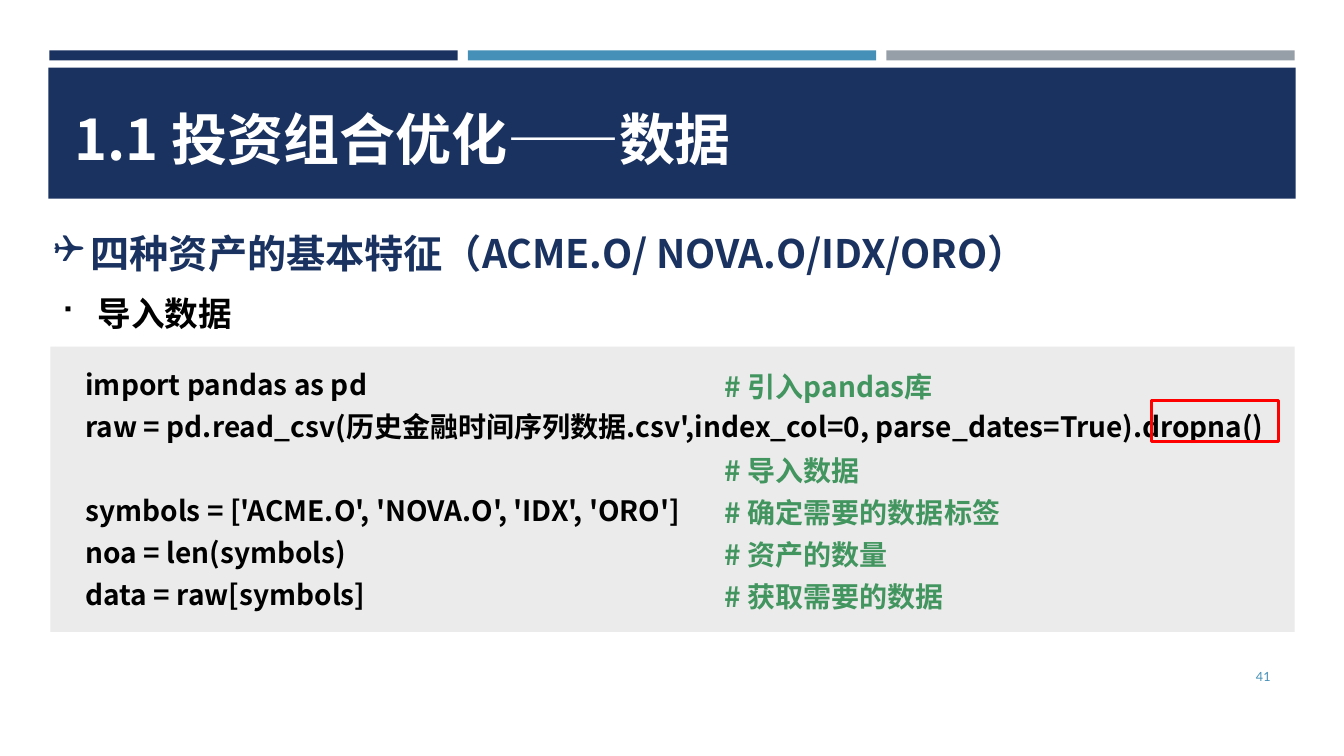
from pptx import Presentation
from pptx.dml.color import RGBColor
from pptx.enum.shapes import MSO_SHAPE
from pptx.enum.text import MSO_ANCHOR, MSO_AUTO_SIZE, PP_ALIGN
from pptx.oxml.ns import qn
from pptx.util import Inches, Pt
from lxml import etree

NAVY = RGBColor(0x1A, 0x32, 0x60)
BLUE = RGBColor(0x45, 0x90, 0xB8)
GRAY = RGBColor(0x96, 0x9F, 0xA7)
PANEL = RGBColor(0xEB, 0xEB, 0xEB)
GREEN = RGBColor(0x42, 0x95, 0x5F)
RED = RGBColor(0xFF, 0x00, 0x00)
BLACK = RGBColor(0x00, 0x00, 0x00)
WHITE = RGBColor(0xFF, 0xFF, 0xFF)
CJK_FONT = "Noto Sans CJK SC"


def add_rect(x, y, w, h, fill=None):
    sp = s.shapes.add_shape(MSO_SHAPE.RECTANGLE, Inches(x), Inches(y), Inches(w), Inches(h))
    sp.shadow.inherit = False
    if fill is None:
        sp.fill.background()
    else:
        sp.fill.solid()
        sp.fill.fore_color.rgb = fill
        sp.line.fill.background()
    return sp


def add_text(x, y, w, h, lines, size, color, bold=True, font=CJK_FONT):
    """Add a text box with one paragraph per line and return its text frame."""
    tf = s.shapes.add_textbox(Inches(x), Inches(y), Inches(w), Inches(h)).text_frame
    tf.word_wrap = True
    tf.auto_size = MSO_AUTO_SIZE.SHAPE_TO_FIT_TEXT if bold else MSO_AUTO_SIZE.NONE
    tf.text = "\n".join(lines)
    for p in tf.paragraphs:
        for r in p.runs:
            r.font.size = Pt(size)
            r.font.bold = bold
            r.font.color.rgb = color
            r.font.name = font
            etree.SubElement(r.font._element, qn("a:ea"), typeface=font)
    return tf


prs = Presentation()
prs.slide_width, prs.slide_height = Inches(13.33), Inches(7.5)
s = prs.slides.add_slide(prs.slide_layouts[6])

# Header
for i, color in enumerate((NAVY, BLUE, GRAY)):
    add_rect(0.49 + 4.15 * i, 0.5, 4.05, 0.1, color)
add_rect(0.48, 0.67, 12.37, 1.3, NAVY)
add_text(0.64, 0.99, 11.92, 0.77, ["1.1 投资组合优化——数据"], 40, WHITE)

# Headings with bullets
headings = [
    (0.43, 1.99, 13.01, 0.72, "❑", "四种资产的基本特征（ACME.O/ NOVA.O/IDX/ORO）", 28, NAVY),
    (0.5, 2.66, 12.84, 0.64, "■", "导入数据", 24, BLACK),
]
for x, y, w, h, bullet, text, size, color in headings:
    p = add_text(x, y, w, h, [text], size, color).paragraphs[0]
    p.line_spacing = 1.5
    p.space_after = Pt(12)
    pPr = p._p.get_or_add_pPr()
    pPr.set("marL", str(Inches(0.37)))
    pPr.set("indent", str(-Inches(0.37)))
    etree.SubElement(pPr, qn("a:buFont"), typeface="Wingdings")
    etree.SubElement(pPr, qn("a:buChar"), char=bullet)

# Code panel: the gap index is the line that follows a skipped row
add_rect(0.5, 3.44, 12.34, 2.83, PANEL)
code = [
    "import pandas as pd",
    "raw = pd.read_csv(历史金融时间序列数据.csv',index_col=0, parse_dates=True).dropna()",
    "symbols = ['ACME.O', 'NOVA.O', 'IDX', 'ORO']",
    "noa = len(symbols)",
    "data = raw[symbols]",
]
comments = ["# 引入pandas库", "# 导入数据", "# 确定需要的数据标签", "# 资产的数量", "# 获取需要的数据"]
columns = [(0.75, 3.51, 12.34, code, BLACK, 2), (7.09, 3.53, 6.24, comments, GREEN, 1)]
for x, y, w, lines, color, gap in columns:
    tf = add_text(x, y, w, 2.59, lines, 20, color)
    for p in tf.paragraphs:
        p.line_spacing = Pt(30)
    tf.paragraphs[gap].space_before = Pt(30)

dropna_box = add_rect(11.42, 3.97, 1.26, 0.41)
dropna_box.line.color.rgb = RED
dropna_box.line.width = Pt(2)

# Slide number
tf = add_text(11.55, 6.51, 1.15, 0.4, ["41"], 9, BLUE, bold=False, font="Lato")
tf.vertical_anchor = MSO_ANCHOR.MIDDLE
tf.paragraphs[0].alignment = PP_ALIGN.RIGHT

prs.save("out.pptx")
